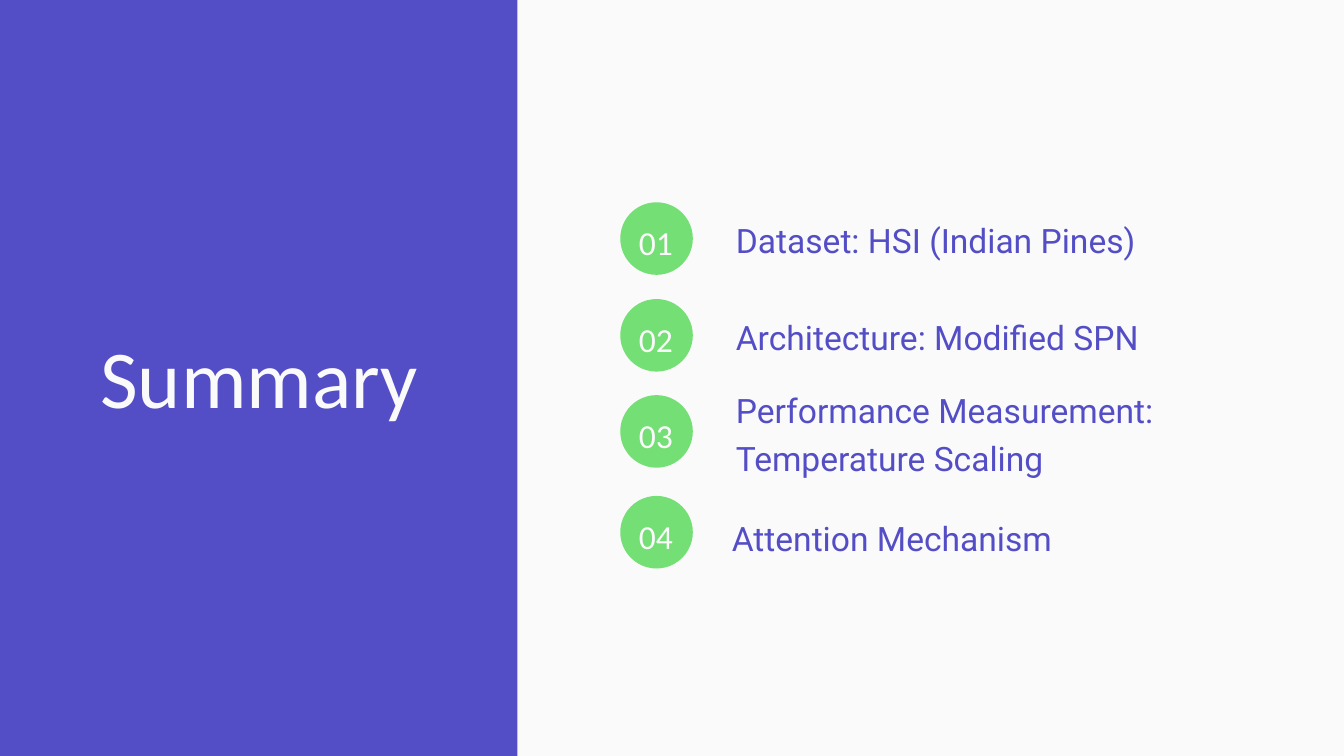
from pptx import Presentation
from pptx.dml.color import RGBColor
from pptx.enum.shapes import MSO_SHAPE
from pptx.enum.text import MSO_ANCHOR, MSO_AUTO_SIZE, PP_ALIGN
from pptx.util import Inches, Pt

RECTANGLE = MSO_SHAPE.RECTANGLE
OVAL = MSO_SHAPE.OVAL
TOP = MSO_ANCHOR.TOP
NO_AUTOFIT = MSO_AUTO_SIZE.NONE
LEFT = PP_ALIGN.LEFT
CENTER = PP_ALIGN.CENTER

VIOLET = "544EC6"
GREEN = "73DF74"
OFF_WHITE = "FAFAFA"
TITLE_ONLY = 5

TOPICS = [
    ("Dataset: HSI (Indian Pines)", 3.01, 10.95, 3.18, 0.66),
    ("Architecture: Modified SPN", 4.45, 10.95, 4.62, 0.66),
    ("Performance Measurement: Temperature Scaling", 5.88, 10.95, 5.71, 1.34),
    ("Attention Mechanism", 7.38, 10.89, 7.6, 0.66),
]


def color(hex_string):
    return RGBColor.from_string(hex_string)


def place(shape, left, top, width, height):
    shape.left, shape.top = Inches(left), Inches(top)
    shape.width, shape.height = Inches(width), Inches(height)


def write_text(shape, text, *, font, fill, size=36, spacing=50.4, align=LEFT):
    frame = shape.text_frame
    frame.word_wrap = True
    frame.auto_size = NO_AUTOFIT
    frame.vertical_anchor = TOP
    frame.margin_left = frame.margin_right = 0
    frame.margin_top = frame.margin_bottom = 0
    paragraph = frame.paragraphs[0]
    paragraph.alignment = align
    paragraph.line_spacing = Pt(spacing)
    run = paragraph.add_run()
    run.text = text
    run.font.name = font
    run.font.size = Pt(size)
    run.font.color.rgb = color(fill)


def add_filled_shape(shapes, kind, left, top, width, height, fill):
    shape = shapes.add_shape(
        kind, Inches(left), Inches(top), Inches(width), Inches(height))
    shape.shadow.inherit = False
    shape.fill.solid()
    shape.fill.fore_color.rgb = color(fill)
    shape.line.fill.background()
    return shape


def add_text(shapes, text, left, top, width, height, **text_format):
    box = shapes.add_textbox(
        Inches(left), Inches(top), Inches(width), Inches(height))
    write_text(box, text, **text_format)


def add_badge(slide, number, top):
    badge = slide.shapes.add_group_shape()
    add_filled_shape(badge.shapes, OVAL, 9.23, top, 1.08, 1.08, GREEN)
    add_text(badge.shapes, f"{number:02d}", 9.4, top + 0.19, 0.72, 0.64,
             font="Calibri", fill=OFF_WHITE, align=CENTER)


def add_title_panel(slide):
    title = slide.shapes.title
    panel = add_filled_shape(slide.shapes, RECTANGLE, 0, 0, 7.7, 11.25, VIOLET)
    title.element.addprevious(panel.element)
    place(title, 1.05, 4.85, 5.61, 1.46)
    write_text(title, "Summary", font="Calibri", fill=OFF_WHITE,
               size=88, spacing=105.6, align=CENTER)


def main():
    presentation = Presentation()
    presentation.slide_width = Inches(20)
    presentation.slide_height = Inches(11.25)
    slide = presentation.slides.add_slide(presentation.slide_layouts[TITLE_ONLY])
    slide.background.fill.solid()
    slide.background.fill.fore_color.rgb = color(OFF_WHITE)

    add_title_panel(slide)
    for number, (topic, badge_top, left, top, height) in enumerate(TOPICS, start=1):
        add_badge(slide, number, badge_top)
        add_text(slide.shapes, topic, left, top, 7.65, height,
                 font="Roboto", fill=VIOLET)

    presentation.save("out.pptx")


if __name__ == "__main__":
    main()
